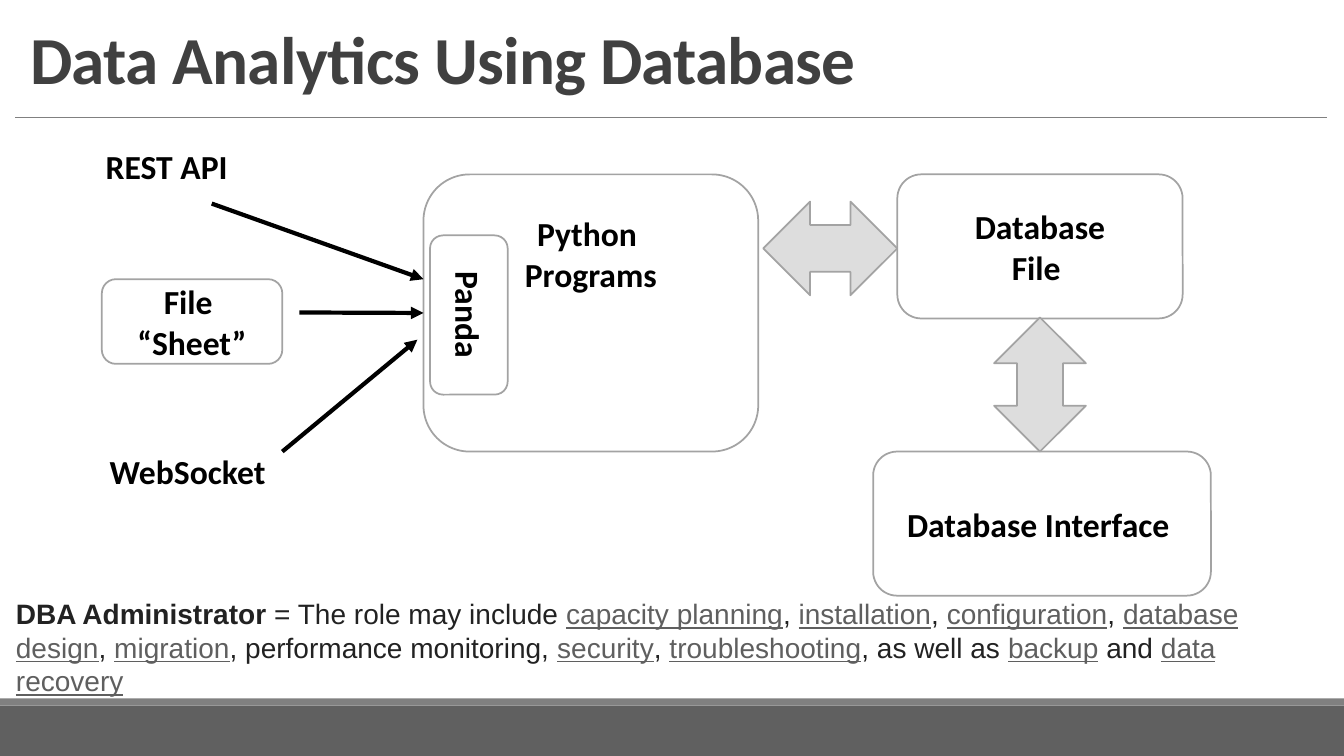
"""Builds the slide on data analytics using a database."""
from lxml.etree import SubElement
from pptx import Presentation
from pptx.dml.color import RGBColor
from pptx.enum.shapes import MSO_CONNECTOR, MSO_SHAPE
from pptx.enum.text import MSO_ANCHOR, PP_ALIGN
from pptx.oxml.ns import qn
from pptx.util import Inches, Pt

COLORS = {"black": "000000", "title": "404040", "border": "A3A3A3",
          "arrow": "DDDDDD", "rule": "808080", "band": "606060",
          "body": "222222", "term": "5F5F5F"}
TITLE = "Data Analytics Using Database"
BANDS = [((0, 7, 13.33, 0.5), "band"), ((0, 6.93, 13.33, 0.07), "rule")]
BOXES = {
    "database": ((8.9, 1.73, 2.83, 1.43), ["Database", "File "]),
    "interface": ((8.66, 4.48, 3.35, 1.43), ["Database Interface "]),
    "programs": ((4.2, 1.73, 3.32, 2.75), ["Python ", "Programs"]),
    "file": ((1.01, 2.77, 1.79, 0.84), ["File ", "“Sheet”"]),
    "panda": ((3.86, 2.74, 1.58, 0.77), ["Panda"]),
}
BLOCK_ARROWS = [(MSO_SHAPE.UP_DOWN_ARROW, (9.86, 3.15, 0.91, 1.33)),
                (MSO_SHAPE.LEFT_RIGHT_ARROW, (7.57, 2, 1.33, 0.93))]
SOURCES = [("REST API", (0.95, 1.4, 1.5, 0.5)),
           ("WebSocket", (0.99, 4.42, 1.76, 0.5))]
FILE_ARROW = (2.97, 3.1, 4.2, 3.1)
SOURCE_ARROWS = [(2.1, 2.02, 4.2, 2.77), (2.8, 4.48, 4.14, 3.37)]
TITLE_RULE = (0.15, 1.16, 13.16, 1.16)
ROLE_AREA = (0.06, 5.87, 12.76, 1.11)
ROLE = "DBA Administrator "
ROLE_DUTIES = [
    ("= The role may include ", "capacity planning"), (", ", "installation"),
    (", ", "configuration"), (", ", "database design"), (", ", "migration"),
    (", performance monitoring, ", "security"), (", ", "troubleshooting"),
    (", as well as ", "backup"), (" and ", "data recovery"),
]


def rgb(name):
    return RGBColor.from_string(COLORS[name])


def inches(values):
    return [Inches(value) for value in values]


def style(font, name, size, color, bold=True):
    font.name, font.size, font.bold = name, Pt(size), bold
    font.color.rgb = rgb(color)


def add_block(slide, kind, area, fill=None, border="border"):
    block = slide.shapes.add_shape(kind, *inches(area))
    block.shadow.inherit = False
    if fill:
        block.fill.solid()
        block.fill.fore_color.rgb = rgb(fill)
    else:
        block.fill.background()
    if border:
        block.line.color.rgb = rgb(border)
        block.line.width = Pt(1.25)
    else:
        block.line.fill.background()
    return block


def add_box(slide, area, lines):
    box = add_block(slide, MSO_SHAPE.ROUNDED_RECTANGLE, area)
    frame = box.text_frame
    frame.word_wrap = True
    frame.vertical_anchor = MSO_ANCHOR.MIDDLE
    frame.text = "\n".join(lines)
    for paragraph in frame.paragraphs:
        paragraph.alignment = PP_ALIGN.CENTER
        style(paragraph.font, "Calibri", 24, "black")
    return box


def add_line(slide, ends, color="black", width=3, arrow=True):
    line = slide.shapes.add_connector(MSO_CONNECTOR.STRAIGHT, *inches(ends))
    line.line.color.rgb = rgb(color)
    line.line.width = Pt(width)
    if arrow:
        SubElement(line.line._get_or_add_ln(), qn("a:tailEnd"), type="triangle")
    SubElement(line._element.spPr, qn("a:effectLst"))
    return line


def add_title(slide):
    title = slide.shapes.title
    title.left, title.top, title.width, title.height = inches((0.2, 0.15, 12.93, 0.87))
    title.text_frame.text = TITLE
    title.text_frame.vertical_anchor = MSO_ANCHOR.BOTTOM
    heading = title.text_frame.paragraphs[0]
    heading.alignment = PP_ALIGN.LEFT
    heading.line_spacing = 0.85
    style(heading.font, "Calibri", 48, "title")
    heading.runs[0]._r.get_or_add_rPr().set("spc", "-50")


def add_role(slide):
    frame = slide.shapes.add_textbox(*inches(ROLE_AREA)).text_frame
    frame.word_wrap = True
    paragraph = frame.paragraphs[0]
    pieces = [(ROLE, "body", True)]
    for lead, duty in ROLE_DUTIES:
        pieces += [(lead, "body", False), (duty, "term", False)]
    for text, color, bold in pieces:
        run = paragraph.add_run()
        run.text = text
        style(run.font, "Arial", 20, color, bold)
        run.font.underline = color == "term"


def main():
    deck = Presentation()
    deck.slide_width, deck.slide_height = inches((13.33, 7.5))
    slide = deck.slides.add_slide(deck.slide_layouts[5])
    for area, fill in BANDS:
        add_block(slide, MSO_SHAPE.RECTANGLE, area, fill, border=None)
    add_line(slide, TITLE_RULE, "rule", 0.5, arrow=False)
    add_title(slide)

    boxes = {key: add_box(slide, *content) for key, content in BOXES.items()}
    boxes["panda"].rotation = 90
    programs = boxes["programs"].text_frame
    programs.vertical_anchor = MSO_ANCHOR.TOP
    programs.margin_top = Inches(0.25)

    for kind, area in BLOCK_ARROWS:
        add_block(slide, kind, area, "arrow")
    add_line(slide, FILE_ARROW).end_connect(boxes["programs"], 1)
    for ends in SOURCE_ARROWS:
        add_line(slide, ends)
    for text, area in SOURCES:
        frame = slide.shapes.add_textbox(*inches(area)).text_frame
        frame.word_wrap = False
        frame.text = text
        style(frame.paragraphs[0].font, "Calibri", 24, "black")
    add_role(slide)
    deck.save("out.pptx")


if __name__ == "__main__":
    main()
